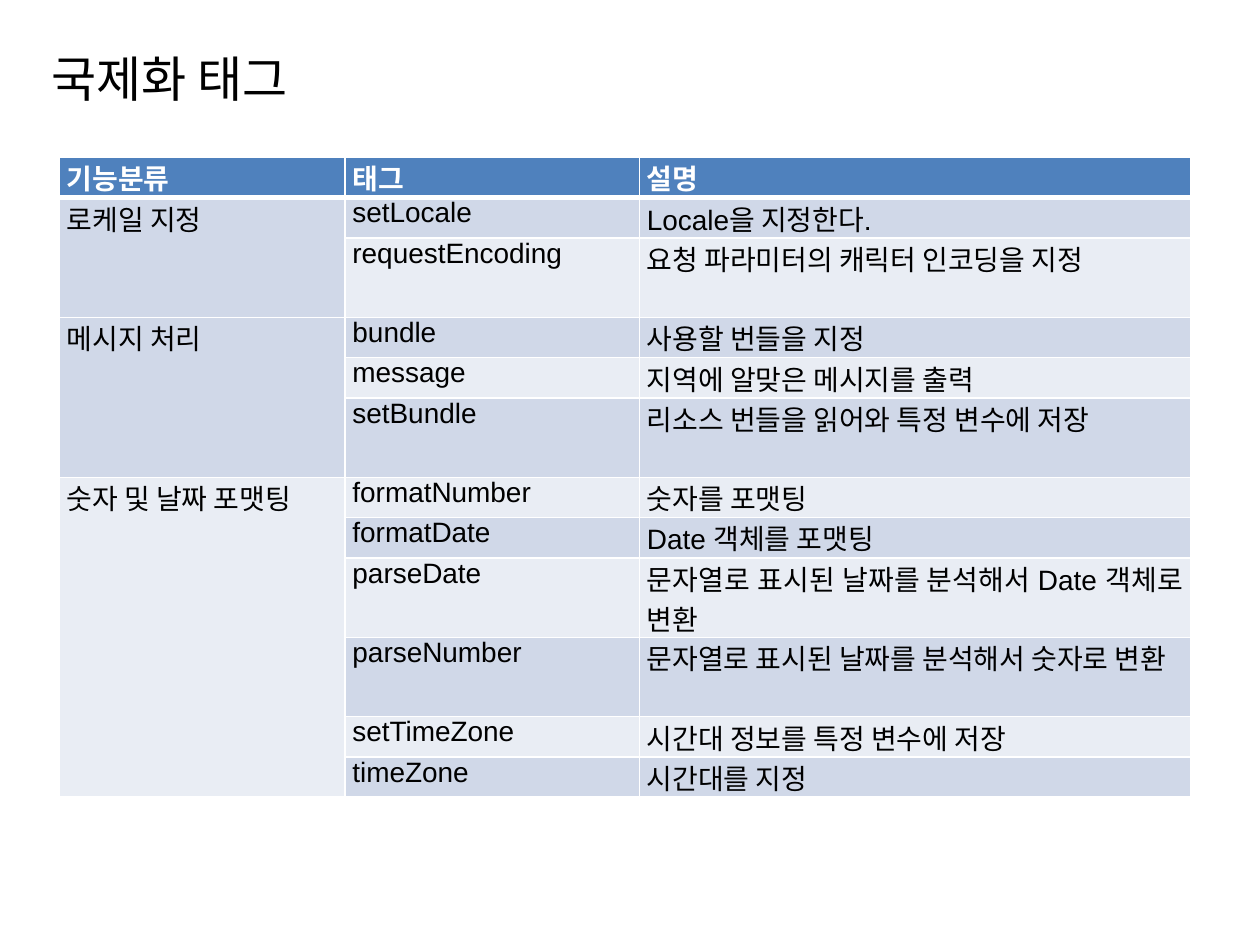
from dataclasses import dataclass
from pptx import Presentation, util as u
from pptx.dml.color import RGBColor
from pptx.enum import text as t
from pptx.oxml import ns
from lxml import etree


@dataclass(frozen=True)
class Theme:
    latin: str = "Arial"
    asian: str = "Noto Sans CJK KR"
    ink: str = "000000"
    white: str = "FFFFFF"
    head: str = "4F81BD"
    bands: tuple = ("D0D8E8", "E9EDF4")
    title: int = 28
    body: int = 16


THEME = Theme()
WIDE, HIGH = 10, 7.5
COLS = (2.27, 2.34, 4.38)
LINE, TALL = 0.32, 0.63
HEADS = ("기능분류", "태그", "설명")
GROUPS = (
    ("로케일 지정", (
        ("setLocale", "Locale을 지정한다.", LINE),
        ("requestEncoding", "요청 파라미터의 캐릭터 인코딩을 지정", TALL))),
    ("메시지 처리", (
        ("bundle", "사용할 번들을 지정", LINE),
        ("message", "지역에 알맞은 메시지를 출력", LINE),
        ("setBundle", "리소스 번들을 읽어와 특정 변수에 저장", TALL))),
    ("숫자 및 날짜 포맷팅", (
        ("formatNumber", "숫자를 포맷팅", LINE),
        ("formatDate", "Date 객체를 포맷팅", LINE),
        ("parseDate", "문자열로 표시된 날짜를 분석해서 Date 객체로 변환", TALL),
        ("parseNumber", "문자열로 표시된 날짜를 분석해서 숫자로 변환", TALL),
        ("setTimeZone", "시간대 정보를 특정 변수에 저장", LINE),
        ("timeZone", "시간대를 지정", LINE))),
)


def assign(item, values):
    for name, value in values.items():
        setattr(item, name, value)


def write(frame, words, size, color, font, align, bold=False):
    para = frame.paragraphs[0]
    para.alignment = align
    run = para.add_run()
    run.text = words
    assign(run.font, {"size": u.Pt(size), "bold": bold, "name": font})
    run.font.color.rgb = RGBColor.from_string(color)
    props = run._r.get_or_add_rPr()
    etree.SubElement(props, ns.qn("a:ea"), typeface=THEME.asian)


def border(cell, head):
    props = cell._tc.get_or_add_tcPr()
    for place, side in enumerate("LRTB"):
        points = 3 if head and side == "B" else 1
        line = etree.Element(ns.qn("a:ln" + side), w=str(u.Pt(points)))
        fill = etree.SubElement(line, ns.qn("a:solidFill"))
        etree.SubElement(fill, ns.qn("a:srgbClr"), val=THEME.white)
        props.insert(place, line)


def add_title(slide, box, words):
    frame = slide.shapes.add_textbox(*map(u.Inches, box)).text_frame
    assign(frame, {"word_wrap": True, "vertical_anchor": t.MSO_ANCHOR.MIDDLE})
    write(frame, words, THEME.title, THEME.ink, THEME.asian, t.PP_ALIGN.LEFT)


def add_grid(slide, box):
    rows = [(HEADS, LINE)]
    spans = []
    for label, tags in GROUPS:
        spans.append((len(rows), len(rows) + len(tags) - 1))
        for place, (tag, note, height) in enumerate(tags):
            rows.append(((label if place == 0 else "", tag, note), height))
    grid = slide.shapes.add_table(len(rows), len(COLS), *map(u.Inches, box)).table
    for col, share in zip(grid.columns, COLS):
        col.width = u.Inches(box[2] * share / sum(COLS))
    total = sum(height for _, height in rows)
    for r, (words, height) in enumerate(rows):
        grid.rows[r].height = u.Inches(box[3] * height / total)
        head = r == 0
        for c, value in enumerate(words):
            cell = grid.cell(r, c)
            assign(cell, {"margin_left": u.Inches(0.06), "margin_right": u.Inches(0.06),
                          "margin_top": 0, "margin_bottom": 0})
            cell.fill.solid()
            shade = THEME.head if head else THEME.bands[(r - 1) % 2]
            cell.fill.fore_color.rgb = RGBColor.from_string(shade)
            border(cell, head)
            if value:
                write(cell.text_frame, value, THEME.body,
                      THEME.white if head else THEME.ink, THEME.latin,
                      t.PP_ALIGN.JUSTIFY, head)
    for first, last in spans:
        grid.cell(first, 0).merge(grid.cell(last, 0))


deck = Presentation()
assign(deck, {"slide_width": u.Inches(WIDE), "slide_height": u.Inches(HIGH)})
page = deck.slides.add_slide(deck.slide_layouts[6])
add_title(page, (0.31, 0.3, 9.45, 0.64), "국제화 태그")
add_grid(page, (0.47, 1.25, 8.98, 5.08))
deck.save("out.pptx")
